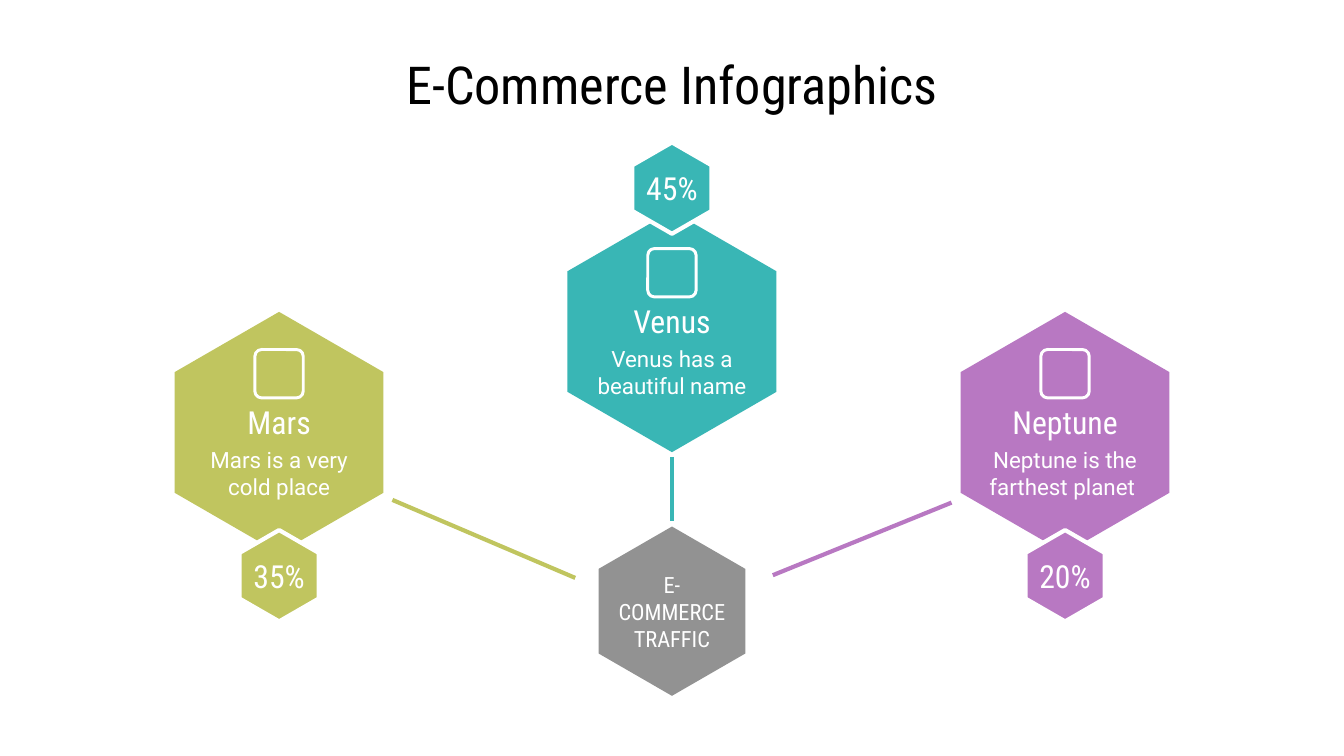
from dataclasses import dataclass

from lxml.etree import SubElement
from pptx import Presentation
from pptx.dml.color import RGBColor
from pptx.enum.shapes import MSO_CONNECTOR, MSO_SHAPE
from pptx.enum.text import MSO_ANCHOR, PP_ALIGN
from pptx.oxml.ns import qn
from pptx.util import Inches, Pt


@dataclass(frozen=True)
class Theme:
    teal: str = "39B6B5"
    olive: str = "C0C55F"
    violet: str = "B878C2"
    grey: str = "929292"
    white: str = "FFFFFF"
    black: str = "000000"
    heading: str = "Roboto Condensed"
    body: str = "Roboto"
    title_size: float = 28
    label_size: float = 17
    text_size: float = 12
    stroke: float = 2.25
    icon_stroke: float = 1.6


T = Theme()
COLUMNS = 100  # square grid cells across the slide width
HEX_RATIO = 3 ** 0.5 / 2  # width of a regular upright hexagon over its height


def write(shape, text, size=T.text_size, font=T.heading, color=T.white, wrap=True):
    tf = shape.text_frame
    tf.word_wrap = wrap
    tf.vertical_anchor = MSO_ANCHOR.MIDDLE
    tf.margin_left = tf.margin_right = tf.margin_top = tf.margin_bottom = Inches(0.1)
    p = tf.paragraphs[0]
    p.alignment = PP_ALIGN.CENTER
    r = p.add_run()
    r.text = text
    r.font.size = Pt(size)
    r.font.name = font
    r.font.color.rgb = RGBColor.from_string(color)


class Canvas:
    """Draws on one slide; lengths are grid cells, shapes are placed by centre."""

    def __init__(self, prs, theme):
        self.theme = theme
        self.cell = prs.slide_width / COLUMNS
        self.s = prs.slides.add_slide(prs.slide_layouts[6])

    def emu(self, *cells):
        return [round(c * self.cell) for c in cells]

    def box(self, cx, cy, w, h):
        return self.emu(cx - w / 2, cy - h / 2, w, h)

    def text(self, cx, cy, w, h, text, **style):
        write(self.s.shapes.add_textbox(*self.box(cx, cy, w, h)), text, **style)

    def hexagon(self, cx, cy, h, color, outline=None):
        dx, dy = h * HEX_RATIO / 2, h / 4
        corners = [(cx, cy - 2 * dy), (cx - dx, cy - dy), (cx - dx, cy + dy),
                   (cx, cy + 2 * dy), (cx + dx, cy + dy), (cx + dx, cy - dy)]
        start, *rest = [self.emu(*c) for c in corners]
        fb = self.s.shapes.build_freeform(*start)
        fb.add_line_segments(rest, close=True)
        sp = fb.convert_to_shape()
        sp.shadow.inherit = False
        sp.fill.solid()
        sp.fill.fore_color.rgb = RGBColor.from_string(color)
        if outline:
            self.stroke(sp.line, outline, self.theme.stroke)
        else:
            sp.line.fill.background()
        return sp

    def icon(self, cx, cy, size):
        sp = self.s.shapes.add_shape(MSO_SHAPE.ROUNDED_RECTANGLE,
                                     *self.box(cx, cy, size, size))
        sp.adjustments[0] = 0.14
        sp.shadow.inherit = False
        sp.fill.background()
        self.stroke(sp.line, self.theme.white, self.theme.icon_stroke)

    def line(self, start, end, color):
        cn = self.s.shapes.add_connector(MSO_CONNECTOR.STRAIGHT,
                                         *self.emu(*start, *end))
        self.stroke(cn.line, color, self.theme.stroke)
        SubElement(cn._element.spPr, qn("a:effectLst"))

    @staticmethod
    def stroke(line, color, width):
        line.color.rgb = RGBColor.from_string(color)
        line.width = Pt(width)


# Name, description, share, colour, hexagon centre, badge row, spoke ends
PLANETS = [
    ("Neptune", "Neptune is the farthest planet ", "20%", T.violet,
     (79.25, 32.18), 42.84, ((70.8, 37.4), (57.5, 42.8))),
    ("Venus", "Venus has a beautiful name", "45%", T.teal,
     (50, 24.67), 14, ((50, 34), (50, 38.8))),
    ("Mars", "Mars is a very cold place", "35%", T.olive,
     (20.77, 32.18), 42.84, ((29.2, 37.2), (42.8, 43))),
]


def main():
    prs = Presentation()
    prs.slide_width = Inches(10)
    prs.slide_height = prs.slide_width * 9 // 16
    c = Canvas(prs, T)

    # Title
    c.text(50, 6.25, 45, 3.5, "E-Commerce Infographics",
           size=T.title_size, color=T.black)

    # Central hub
    write(c.hexagon(50, 45.48, 12.6, T.grey), "E-COMMERCE TRAFFIC")

    # Planets with icon, texts, spoke to the hub and share badge
    for name, note, share, color, (cx, cy), badge_y, spoke in PLANETS:
        c.hexagon(cx, cy, 17.95, color)
        c.icon(cx, cy - 4.37, 3.6)
        c.text(cx, cy - 0.8, 11.1, 2.2, name, size=T.label_size)
        c.text(cx, cy + 3, 15.5, 4.3, note, font=T.body)
        c.line(*spoke, color)
        badge = c.hexagon(cx, badge_y, 6.8, color, outline=T.white)
        write(badge, share, size=T.label_size, wrap=False)

    prs.save("out.pptx")


if __name__ == "__main__":
    main()
